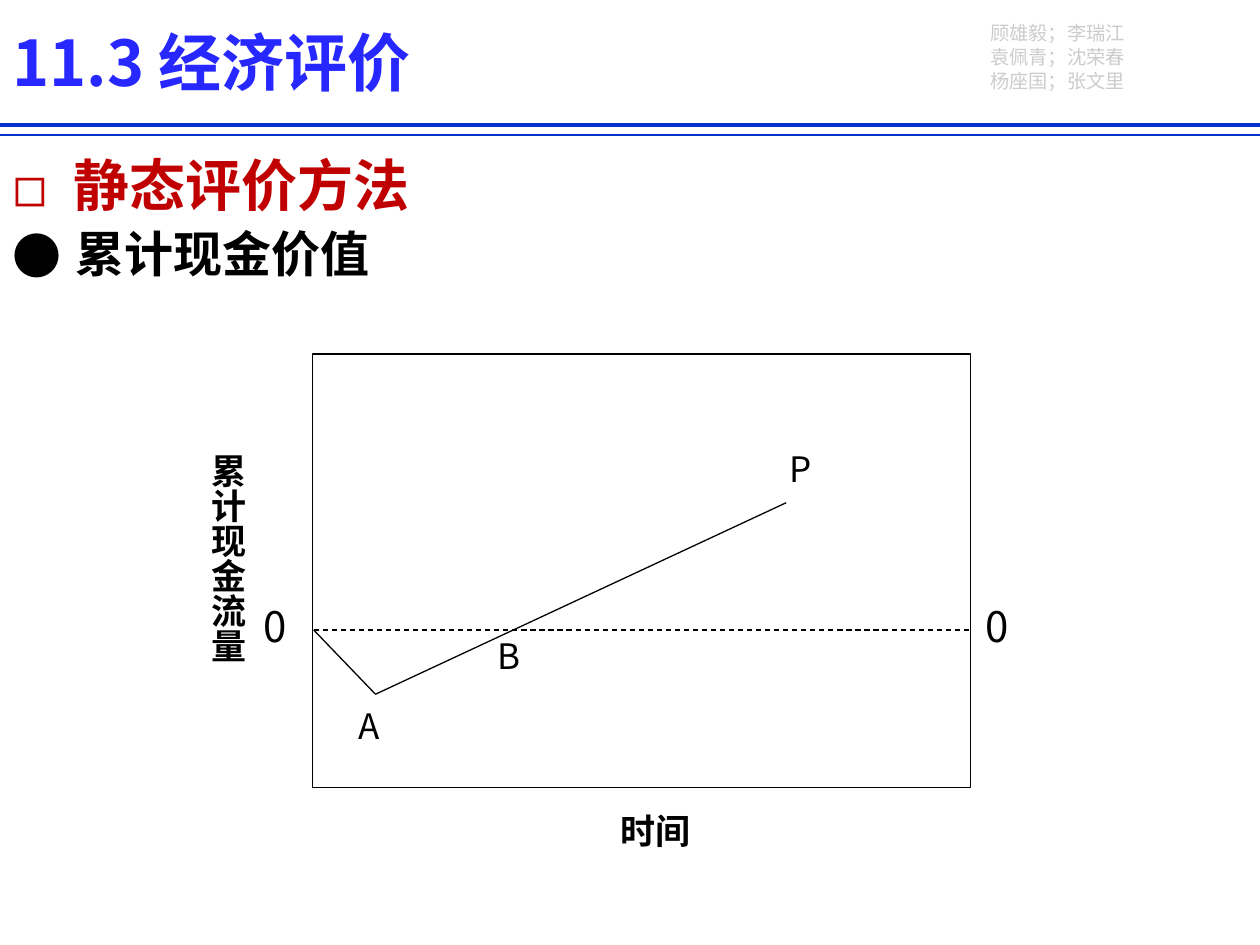
import pptx
import pptx.dml.color
import pptx.enum.dml
import pptx.enum.shapes
import pptx.enum.text
import pptx.oxml
import pptx.oxml.ns
import pptx.util

Inches = pptx.util.Inches
Pt = pptx.util.Pt
RGBColor = pptx.dml.color.RGBColor
Align = pptx.enum.text.PP_ALIGN
Anchor = pptx.enum.text.MSO_ANCHOR

FONT = "Noto Sans CJK SC"
BLACK = RGBColor(0x00, 0x00, 0x00)
GREY = RGBColor(0xCC, 0xCC, 0xCC)
TITLE_BLUE = RGBColor(0x27, 0x27, 0xFF)
RULE_BLUE = RGBColor(0x00, 0x33, 0xCC)
RED = RGBColor(0xC0, 0x00, 0x00)


def add_child(parent, tag, **attributes):
    child = pptx.oxml.parse_xml(f"<a:{tag} {pptx.oxml.ns.nsdecls('a')}/>")
    for key, value in attributes.items():
        child.set(key, value)
    parent.append(child)


def place(shape, box):
    for side, length in zip(("left", "top", "width", "height"), box):
        setattr(shape, side, Inches(length))


def format_frame(frame, anchor):
    settings = {"word_wrap": True, "auto_size": pptx.enum.text.MSO_AUTO_SIZE.NONE,
                "vertical_anchor": anchor}
    for name, value in settings.items():
        setattr(frame, name, value)


def write(paragraph, text, size, color, bold=False, align=Align.LEFT, spacing=1.0):
    layout = {"alignment": align, "line_spacing": spacing,
              "space_before": Pt(0), "space_after": Pt(0)}
    for name, value in layout.items():
        setattr(paragraph, name, value)
    run = paragraph.add_run()
    run.text = text
    for name, value in {"size": Pt(size), "bold": bold, "name": FONT}.items():
        setattr(run.font, name, value)
    run.font.color.rgb = color
    add_child(run._r.get_or_add_rPr(), "ea", typeface=FONT)


def add_label(slide, box, text, size, anchor=Anchor.MIDDLE, **style):
    label = slide.shapes.add_textbox(*map(Inches, box))
    format_frame(label.text_frame, anchor)
    write(label.text_frame.paragraphs[0], text, size, BLACK, **style)
    return label


def add_line(slide, start, end, color, width):
    line = slide.shapes.add_connector(
        pptx.enum.shapes.MSO_CONNECTOR.STRAIGHT, *map(Inches, start + end))
    line.line.color.rgb = color
    line.line.width = Pt(width)
    add_child(line._element.spPr, "effectLst")
    return line


def build_header(slide, box):
    left, top, width, height = box
    # Title
    title = slide.shapes.title
    place(title, (left, top + 0.13, width, 0.71))
    format_frame(title.text_frame, Anchor.MIDDLE)
    write(title.text_frame.paragraphs[0], "11.3 经济评价", 36, TITLE_BLUE, bold=True)

    # Authors
    authors = slide.shapes.add_textbox(
        *map(Inches, (left + 7.76, top + 0.11, 1.42, 0.77)))
    frame = authors.text_frame
    format_frame(frame, Anchor.TOP)
    for index, pair in enumerate(("顾雄毅；李瑞江", "袁佩青；沈荣春", "杨座国；张文里")):
        paragraph = frame.add_paragraph() if index else frame.paragraphs[0]
        write(paragraph, pair, 11, GREY, align=Align.JUSTIFY, spacing=1.04)

    # Double rule
    for y, weight in ((top + height - 0.08, 2.25), (top + height, 1)):
        add_line(slide, (left, y), (left + width, y), RULE_BLUE, weight)


def build_topics(slide, box):
    topics = slide.placeholders[1]
    place(topics, box)
    frame = topics.text_frame
    format_frame(frame, Anchor.TOP)
    rows = (("静态评价方法", "◻", 0.48, 32, RED),
            ("累计现金价值", "●", 0.5, 28, BLACK))
    for index, (text, bullet, indent, size, color) in enumerate(rows):
        paragraph = frame.add_paragraph() if index else frame.paragraphs[0]
        properties = paragraph._p.get_or_add_pPr()
        properties.set("marL", str(Inches(indent)))
        properties.set("indent", str(-Inches(indent)))
        add_child(properties, "buFont", typeface=FONT)
        add_child(properties, "buChar", char=bullet)
        write(paragraph, text, size, color, bold=True,
              align=Align.JUSTIFY, spacing=1.09)


def build_cash_flow_diagram(slide, box):
    left, top, width, height = box
    right, bottom = left + width, top + height
    zero_y = top + 2.19

    # Plot frame
    plot = slide.shapes.add_shape(
        pptx.enum.shapes.MSO_SHAPE.RECTANGLE, *map(Inches, box))
    plot.shadow.inherit = False
    plot.fill.background()
    plot.line.color.rgb = BLACK
    plot.line.width = Pt(0.75)

    # Zero line and cumulative cash flow
    origin = (left + 0.01, zero_y)
    lowest = (left + 0.5, top + 2.7)
    final = (left + 3.76, top + 1.18)
    zero_line = add_line(slide, origin, (right, zero_y), BLACK, 0.75)
    zero_line.line.dash_style = pptx.enum.dml.MSO_LINE.DASH
    for start, end in ((origin, lowest), (lowest, final)):
        add_line(slide, start, end, BLACK, 0.75)

    # Zero marks on both sides
    for x in (left - 0.49, right + 0.02):
        add_label(slide, (x, zero_y - 0.28, 0.49, 0.5), "0", 24)

    # Points on the curve
    for name, x, y in (("A", 0.27, 2.73), ("B", 1.37, 2.17), ("P", 3.69, 0.69)):
        add_label(slide, (left + x, top + y, 0.55, 0.44), name, 20)

    # Axis names
    add_label(slide, (left + 2.13, bottom + 0.12, 1.18, 0.44), "时间", 20,
              bold=True, align=Align.CENTER)
    flow = add_label(slide, (left - 0.94, top + 0.69, 0.54, 2.84),
                     "累计现金流量", 20, bold=True)
    flow.text_frame._txBody.bodyPr.set("vert", "eaVert")


def main():
    presentation = pptx.Presentation()
    presentation.slide_width = Inches(10)
    presentation.slide_height = Inches(7.5)
    slide = presentation.slides.add_slide(presentation.slide_layouts[1])
    build_header(slide, (0, 0, 10, 1.07))
    build_topics(slide, (0, 1.1, 9.88, 1.31))
    build_cash_flow_diagram(slide, (2.48, 2.81, 5.22, 3.44))
    presentation.save("out.pptx")


if __name__ == "__main__":
    main()
